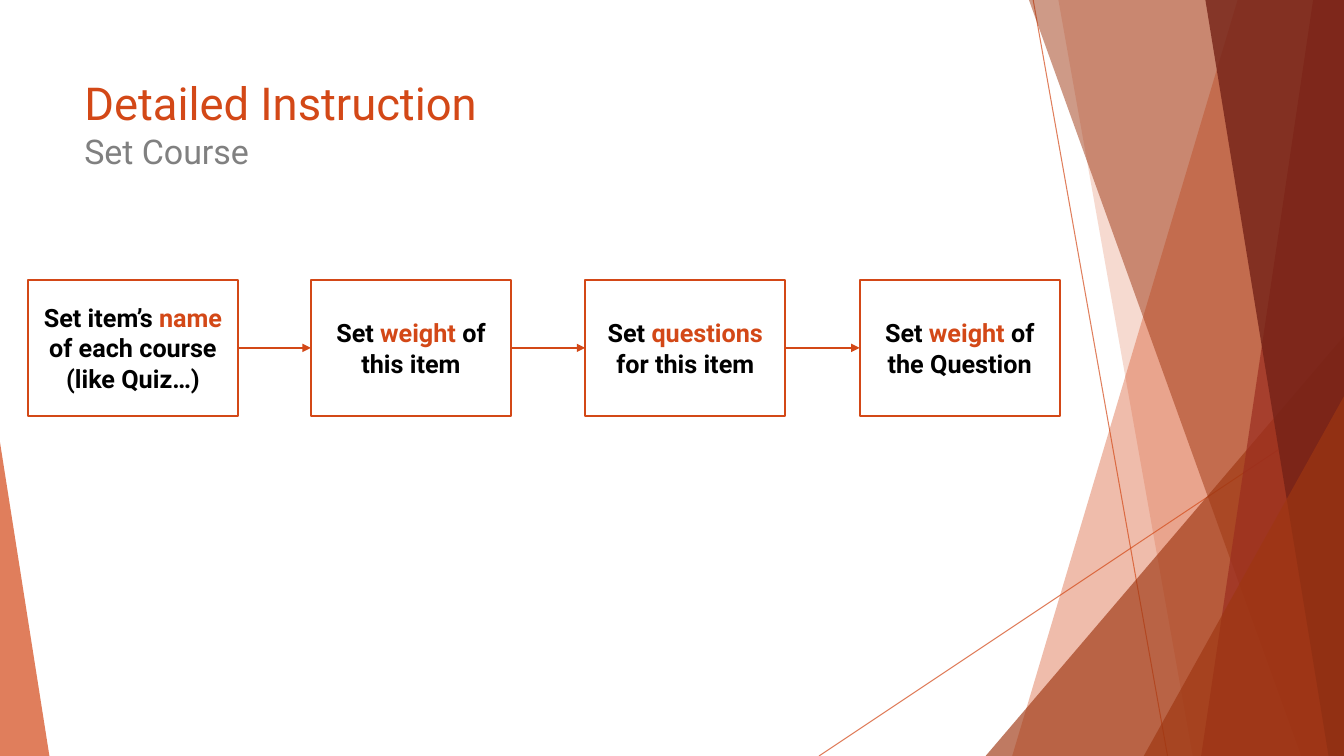
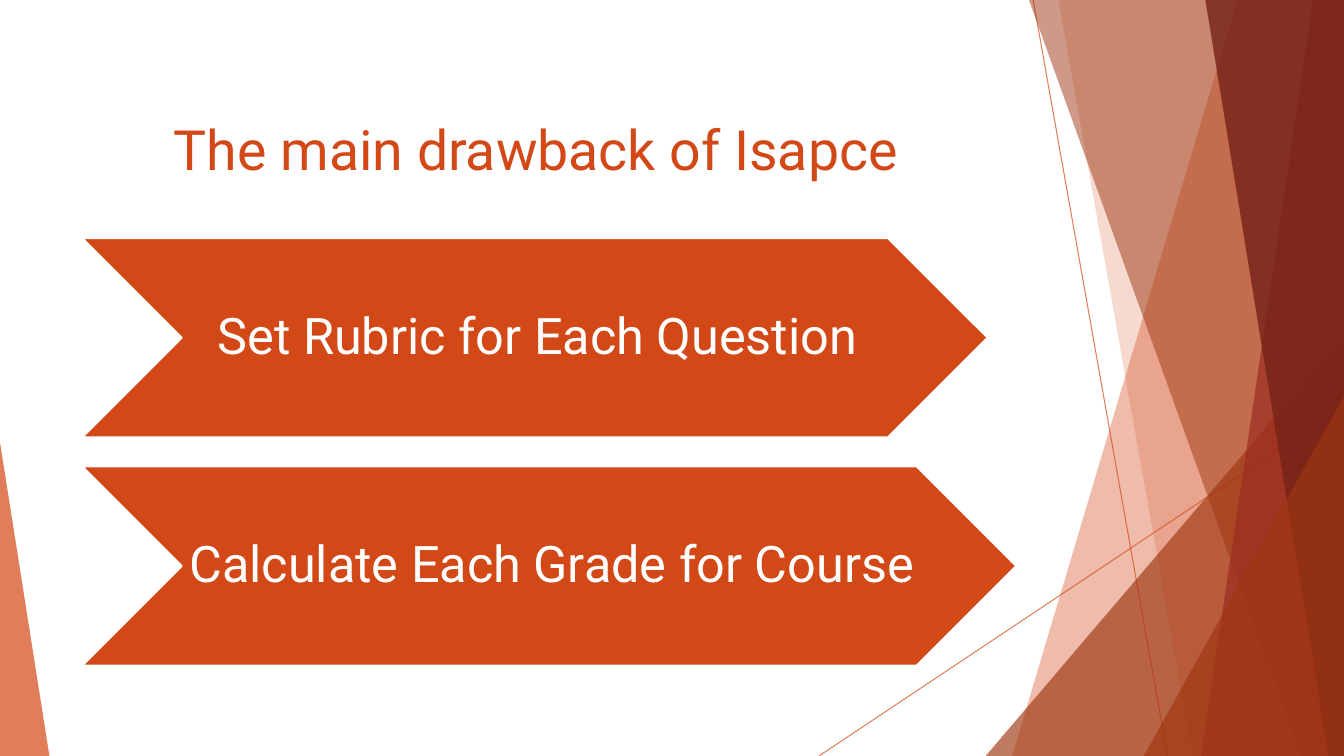
from pptx import Presentation
from pptx.dml.color import RGBColor as RGB
from pptx.enum.shapes import MSO_CONNECTOR as Line, MSO_SHAPE as Shape
from pptx.enum.text import MSO_ANCHOR as Anchor, MSO_AUTO_SIZE as Auto, PP_ALIGN as Align
from pptx.oxml.ns import qn
from pptx.util import Pt
from lxml.etree import SubElement

HUES = {"orange": "D34817", "rust": "9E3611", "red": "9B2D1F", "wine": "742217",
        "gray": "808080", "black": "000000", "white": "FFFFFF"}
HUES = {name: RGB.from_string(code) for name, code in HUES.items()}
WIDE, HIGH = 960, 540


def paint(shape, fill, edge=None, alpha=None):
    """Flat fill, optional outline, optional opacity in percent."""
    shape.shadow.inherit = False
    shape.fill.solid()
    shape.fill.fore_color.rgb = HUES[fill]
    if edge:
        shape.line.color.rgb = HUES[edge]
        shape.line.width = Pt(1.5)
    else:
        shape.line.fill.background()
    if alpha:
        clr = next(shape.element.iter(qn("a:srgbClr")))
        SubElement(clr, qn("a:alpha")).set("val", str(alpha * 1000))


def style(run, size, hue, bold=False):
    font = run.font
    font.name, font.size, font.bold = "Roboto", Pt(size), bold
    font.color.rgb = HUES[hue]


deck = Presentation()
deck.slide_width, deck.slide_height = Pt(WIDE), Pt(HIGH)
plan = deck.slide_layouts[5]
flow, flaws = [deck.slides.add_slide(plan) for _ in range(2)]

# Shared backdrop: drawn as one group, then moved to the layout
group = flow.shapes.add_group_shape()
art = group.shapes
for x1, y1, x2, y2 in [(738, 0, 834, HIGH), (WIDE, 290, 585, HIGH)]:
    ray = art.add_connector(Line.STRAIGHT, Pt(x1), Pt(y1), Pt(x2), Pt(y2))
    ray.line.width = Pt(0.75)
    ray.line.color.rgb = HUES["orange"]
    clr = next(ray.element.iter(qn("a:srgbClr")))
    SubElement(clr, qn("a:alpha")).set("val", "70000")
    SubElement(ray.element.spPr, qn("a:effectLst"))

# Bands give top x and base x; peaks give left, top and width
parts = [((884, 723), "orange", 36), ((756, 852), "orange", 20),
         ((704, 240, 256), "rust", 66), ((735, 929.5), "rust", 50),
         ((938, 858), "red", 70), ((861, 949), "wine", 80),
         ((817, 283, 143), "rust", 66), ((0, 316, 35.3), "orange", 70)]
for place, hue, alpha in parts:
    if len(place) == 2:
        top, base = place
        pen = art.build_freeform(Pt(top), 0)
        pen.add_line_segments([(Pt(WIDE), 0), (Pt(WIDE), Pt(HIGH)), (Pt(base), Pt(HIGH))])
        part = pen.convert_to_shape()
    else:
        left, top, width = place
        part = art.add_shape(Shape.ISOSCELES_TRIANGLE, Pt(left), Pt(top),
                             Pt(width), Pt(HIGH - top))
        part.adjustments[0] = 1 if left else 0
    paint(part, hue, alpha=alpha)
for count, node in enumerate(group.element.iter(qn("p:cNvPr")), 100):
    node.set("id", str(count))
plan.shapes.element.insert(2, group.element)

# Titles
heads = [(flow, (53, 48, 677, 104), [("Detailed Instruction", 32.4, "orange"),
                                     ("Set Course", 24.3, "gray")]),
         (flaws, (117, 76, 551, 104), [("The main drawback of Isapce", 39.6, "orange")])]
for slide, box, rows in heads:
    title = slide.shapes.title
    title.left, title.top, title.width, title.height = map(Pt, box)
    frame = title.text_frame
    frame.text = "\n".join(row[0] for row in rows)
    frame.auto_size, frame.vertical_anchor = Auto.NONE, Anchor.TOP
    frame.margin_top = Pt(6)
    for para, (_, size, hue) in zip(frame.paragraphs, rows):
        para.alignment = Align.LEFT
        style(para.runs[0], size, hue)

# Flow of steps; stars enclose the key word
steps = [(20, 150, ["Set item’s *name* of each course", "(like Quiz…)"]),
         (222, 143, ["Set *weight* of this item"]),
         (418, 143, ["Set *questions* for this item"]),
         (614, 143, ["Set *weight* of the Question"])]
cards = []
for left, width, rows in steps:
    card = flow.shapes.add_shape(Shape.RECTANGLE, Pt(left), Pt(200), Pt(width), Pt(97))
    paint(card, "white", "orange")
    frame = card.text_frame
    frame.text = "\n".join(rows)
    frame.word_wrap, frame.vertical_anchor = True, Anchor.MIDDLE
    for para, row in zip(frame.paragraphs, rows):
        para.alignment = Align.CENTER
        para.clear()
        for spot, piece in enumerate(row.split("*")):
            run = para.add_run()
            run.text = piece
            style(run, 18, "orange" if spot % 2 else "black", True)
    cards.append(card)

# Arrows between steps
for start, end in zip(cards, cards[1:]):
    arrow = flow.shapes.add_connector(Line.STRAIGHT, 0, 0, 0, 0)
    arrow.begin_connect(start, 3)
    arrow.end_connect(end, 1)
    arrow.line.width = Pt(1)
    arrow.line.color.rgb = HUES["orange"]
    props = arrow.element.spPr
    SubElement(props.find(qn("a:ln")), qn("a:tailEnd")).set("type", "triangle")
    SubElement(props, qn("a:effectLst"))

# Chevrons
flags = [("Set Rubric for Each Question", 647), ("Calculate Each Grade for Course", 667.5)]
for row, (text, width) in enumerate(flags):
    flag = flaws.shapes.add_shape(Shape.CHEVRON, Pt(58.5), Pt(170 + 163 * row),
                                  Pt(width), Pt(142.5))
    paint(flag, "orange", "white")
    frame = flag.text_frame
    frame.text = text
    frame.word_wrap, frame.vertical_anchor = False, Anchor.MIDDLE
    frame.margin_left, frame.margin_right = Pt(4), 0
    frame.margin_top = frame.margin_bottom = Pt(2)
    para = frame.paragraphs[0]
    para.alignment, para.line_spacing = Align.CENTER, 0.9
    style(para.runs[0], 36, "white")

deck.save("out.pptx")
